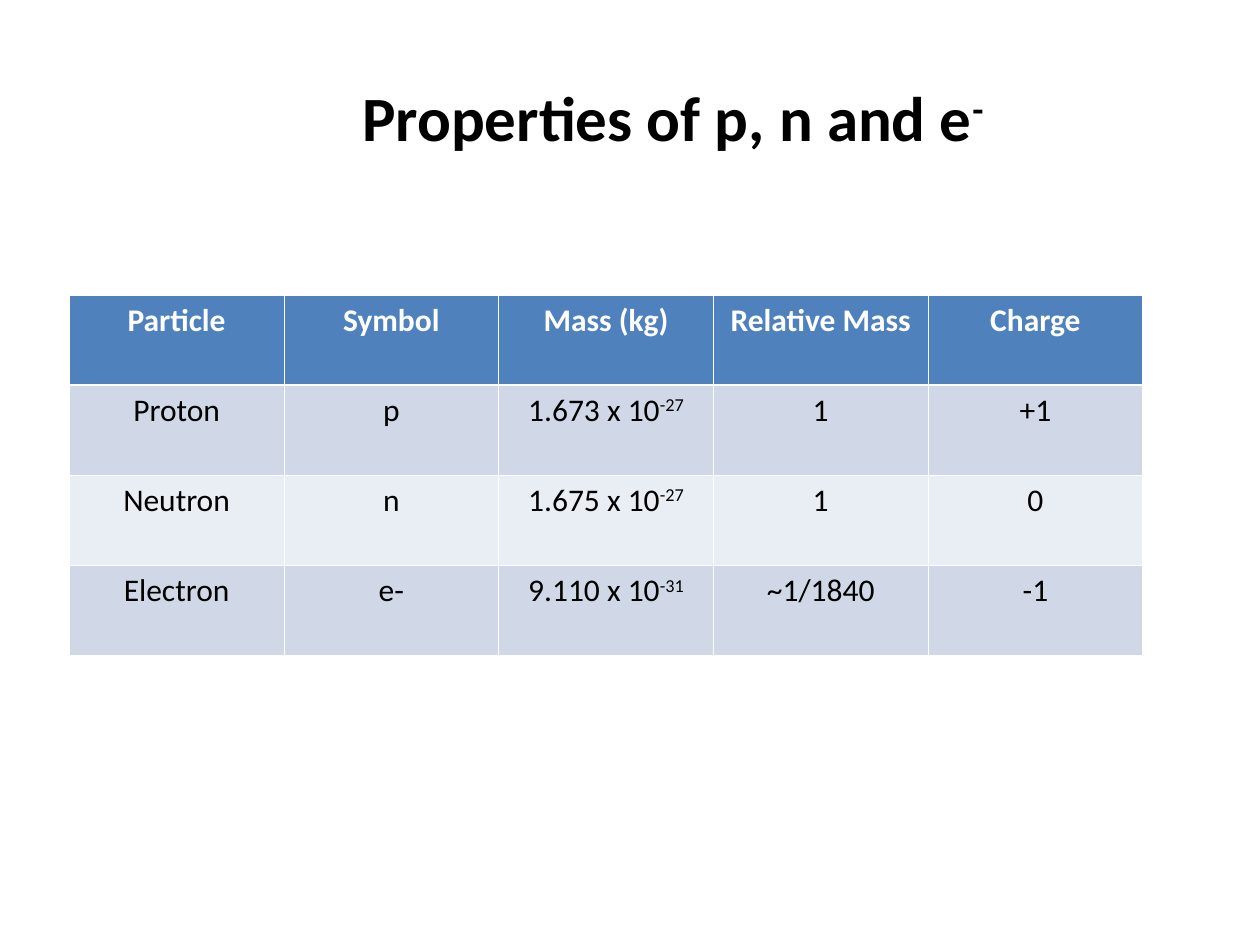
from dataclasses import dataclass

from lxml import etree
from pptx import Presentation
from pptx.dml.color import RGBColor
from pptx.enum import text
from pptx.oxml import ns
from pptx.util import Inches, Pt


@dataclass(frozen=True)
class Theme:
    font: str = "Calibri"
    title_size: float = 36
    table_size: float = 18
    ink: str = "000000"
    white: str = "FFFFFF"
    header: str = "4F81BD"
    bands: tuple = ("D0D8E8", "E9EDF4")
    thin: float = 0.45
    thick: float = 1.47


def write(para, content, *, font, size, color, bold=False):
    """Write centred text; whatever follows a ^ is raised."""
    para.alignment = text.PP_ALIGN.CENTER
    base, _, raised = content.partition("^")
    for part, baseline in ((base, 0), (raised, 30000)):
        if not part:
            continue
        span = para.add_run()
        span.text = part
        span.font.name = font
        span.font.size = Pt(size)
        span.font.bold = bold
        span.font.color.rgb = RGBColor.from_string(color)
        if baseline:
            span.font._element.set("baseline", str(baseline))


class Slide:
    def __init__(self, deck, theme):
        self.theme = theme
        self.page = deck.slides.add_slide(deck.slide_layouts[6])

    def title(self, content, left, top, width, height, indent):
        box = self.page.shapes.add_textbox(
            Inches(left), Inches(top), Inches(width), Inches(height))
        frame = box.text_frame
        frame.word_wrap = True
        frame.vertical_anchor = text.MSO_ANCHOR.MIDDLE
        frame.margin_left = Inches(indent)
        write(frame.paragraphs[0], content, font=self.theme.font,
              size=self.theme.title_size, color=self.theme.ink, bold=True)

    def border(self, cell, side, width):
        properties = cell._tc.get_or_add_tcPr()
        line = etree.Element(ns.qn(f"a:ln{side}"), w=str(int(Pt(width))))
        fill = etree.SubElement(line, ns.qn("a:solidFill"))
        etree.SubElement(fill, ns.qn("a:srgbClr"), val=self.theme.white)
        # Borders stand before the fill, in the order L, R, T, B
        properties.insert("LRTB".index(side), line)

    def table(self, rows, left, top, width, height):
        theme = self.theme
        table = self.page.shapes.add_table(
            len(rows), len(rows[0]), Inches(left), Inches(top),
            Inches(width), Inches(height)).table
        for r, row in enumerate(rows):
            head = r == 0
            for c, content in enumerate(row):
                cell = table.cell(r, c)
                cell.fill.solid()
                cell.fill.fore_color.rgb = RGBColor.from_string(
                    theme.header if head else theme.bands[(r - 1) % 2])
                write(cell.text_frame.paragraphs[0], content, font=theme.font,
                      size=theme.table_size, bold=head,
                      color=theme.white if head else theme.ink)
                # The rule between header and body is heavier
                heavy = {0: "B", 1: "T"}.get(r)
                for side in "LRTB":
                    self.border(cell, side,
                                theme.thick if side == heavy else theme.thin)


def main():
    deck = Presentation()
    deck.slide_width, deck.slide_height = Inches(10), Inches(7.5)
    slide = Slide(deck, Theme())

    # Title, set right of centre by its left indent
    slide.title("Properties of p, n and e^-", 0.5, 0.3, 9, 1.25, indent=0.78)

    # Particle table
    slide.table([
        ("Particle", "Symbol", "Mass (kg)", "Relative Mass", "Charge"),
        ("Proton", "p", "1.673 x 10^-27", "1", "+1"),
        ("Neutron", "n", "1.675 x 10^-27", "1", "0"),
        ("Electron", "e-", "9.110 x 10^-31", "~1/1840", "-1"),
    ], 0.55, 2.34, 8.52, 2.86)

    deck.save("out.pptx")


if __name__ == "__main__":
    main()
